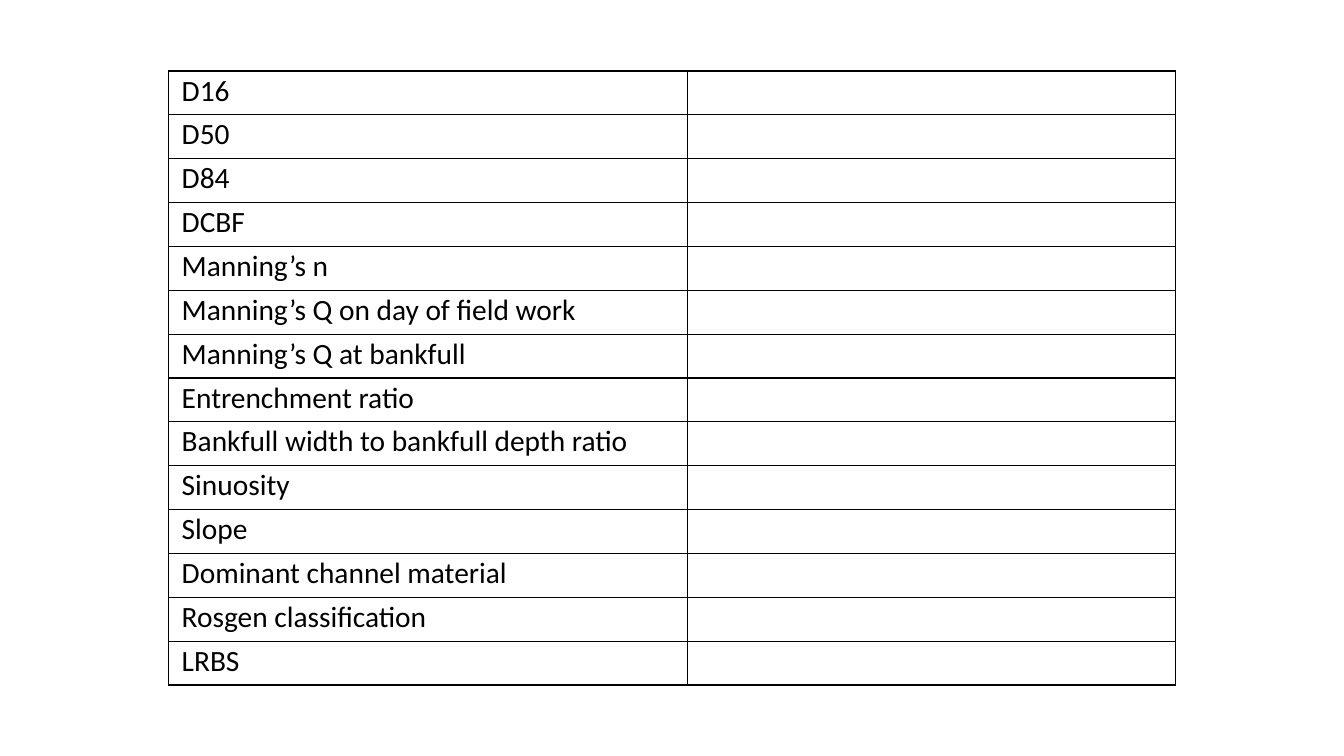
import pptx
import pptx.dml.color
import pptx.oxml.ns
import pptx.util
from lxml import etree

Cm = pptx.util.Cm
Pt = pptx.util.Pt
BLACK = pptx.dml.color.RGBColor(0x00, 0x00, 0x00)

MEASURES = [
    "D16",
    "D50",
    "D84",
    "DCBF",
    "Manning’s n",
    "Manning’s Q on day of field work",
    "Manning’s Q at bankfull",
    "Entrenchment ratio",
    "Bankfull width to bankfull depth ratio",
    "Sinuosity",
    "Slope",
    "Dominant channel material",
    "Rosgen classification",
    "LRBS",
]
COLUMN_WIDTHS = [Cm(13.08), Cm(12.29)]
TABLE_HEIGHT = Cm(15.47)


def add_borders(cell):
    properties = cell._tc.get_or_add_tcPr()
    for side in ("a:lnL", "a:lnR", "a:lnT", "a:lnB"):
        line = etree.SubElement(properties, pptx.oxml.ns.qn(side), w=str(Pt(1)))
        fill = etree.SubElement(line, pptx.oxml.ns.qn("a:solidFill"))
        etree.SubElement(fill, pptx.oxml.ns.qn("a:srgbClr"), val=str(BLACK))


presentation = pptx.Presentation()
presentation.slide_width = Cm(33.87)
presentation.slide_height = Cm(19.05)
slide = presentation.slides.add_slide(presentation.slide_layouts[6])

measures = slide.shapes.add_table(
    len(MEASURES), len(COLUMN_WIDTHS), Cm(4.25), Cm(1.79), sum(COLUMN_WIDTHS), TABLE_HEIGHT
).table
measures.first_row = False
measures.horz_banding = False
for column, width in zip(measures.columns, COLUMN_WIDTHS):
    column.width = width

for row, measure in zip(measures.rows, MEASURES):
    row.height = TABLE_HEIGHT // len(MEASURES)
    for cell, text in zip(row.cells, (measure, "")):
        cell.text = text
        cell.margin_left = cell.margin_right = Cm(0.33)
        cell.margin_top = Cm(0.05)
        cell.margin_bottom = 0
        add_borders(cell)
        cell.fill.background()
        font = cell.text_frame.paragraphs[0].font
        font.name = "Calibri"
        font.size = Pt(21)
        font.color.rgb = BLACK

presentation.save("out.pptx")
